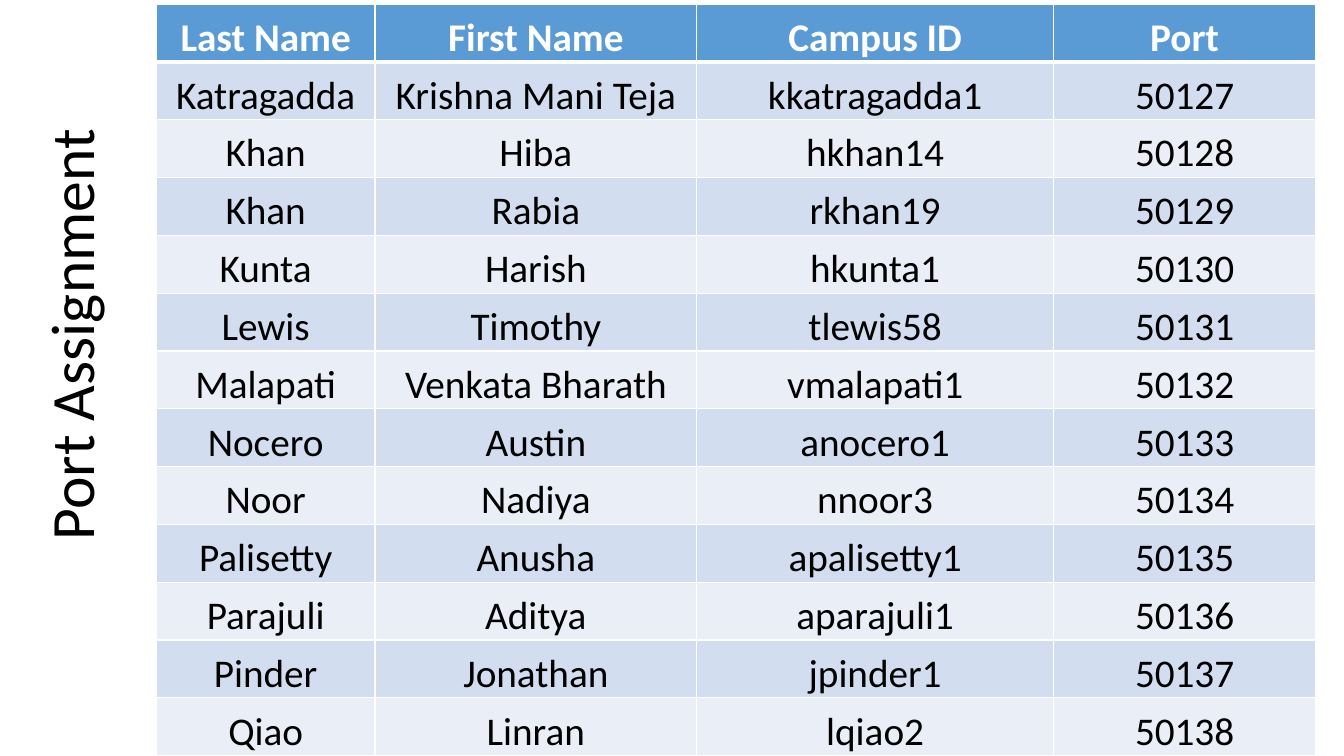
from lxml import etree
from pptx import Presentation
from pptx.dml.color import RGBColor
from pptx.enum.text import MSO_ANCHOR as Anchor, PP_ALIGN as Align
from pptx.oxml.ns import qn
from pptx.util import Inches, Pt

WHITE = RGBColor(0xFF, 0xFF, 0xFF)
BLACK = RGBColor(0, 0, 0)
HEADER_BLUE = RGBColor(0x5B, 0x9B, 0xD5)
BAND_DARK = RGBColor(0xD2, 0xDE, 0xEF)
BAND_LIGHT = RGBColor(0xEA, 0xEF, 0xF7)
FONT = "Calibri"

HEADINGS = ("Last Name", "First Name", "Campus ID", "Port")
FIRST_PORT = 50127
STUDENTS = [
    ("Katragadda", "Krishna Mani Teja", "kkatragadda1"),
    ("Khan", "Hiba", "hkhan14"),
    ("Khan", "Rabia", "rkhan19"),
    ("Kunta", "Harish", "hkunta1"),
    ("Lewis", "Timothy", "tlewis58"),
    ("Malapati", "Venkata Bharath", "vmalapati1"),
    ("Nocero", "Austin", "anocero1"),
    ("Noor", "Nadiya", "nnoor3"),
    ("Palisetty", "Anusha", "apalisetty1"),
    ("Parajuli", "Aditya", "aparajuli1"),
    ("Pinder", "Jonathan", "jpinder1"),
    ("Qiao", "Linran", "lqiao2"),
]
COLUMN_WIDTHS = (2.17, 3.19, 3.54, 2.6)
TABLE_LEFT, TABLE_TOP, TABLE_HEIGHT = 1.55, 0.04, 7.46


def format_text(paragraph, size, color, bold=False):
    for run in paragraph.runs:
        run.font.name = FONT
        run.font.size = Pt(size)
        run.font.color.rgb = color
        run.font.bold = bold


def add_border(cell, side, width):
    line = etree.SubElement(cell._tc.get_or_add_tcPr(), qn(f"a:ln{side}"), w=str(Pt(width)))
    fill = etree.SubElement(line, qn("a:solidFill"))
    etree.SubElement(fill, qn("a:srgbClr"), val=str(WHITE))


presentation = Presentation()
presentation.slide_width = Inches(13.33)
presentation.slide_height = Inches(7.5)
slide = presentation.slides.add_slide(presentation.slide_layouts[5])

# Title, turned to read upwards along the left edge
title = slide.shapes.title
title.left, title.top = Inches(-1.43), Inches(2.87)
title.width, title.height = Inches(4.34), Inches(0.84)
title.rotation = 270
title.text_frame.text = "Port Assignment"
title.text_frame.vertical_anchor = Anchor.MIDDLE
title_paragraph = title.text_frame.paragraphs[0]
title_paragraph.alignment = Align.LEFT
title_paragraph.line_spacing = 0.9
format_text(title_paragraph, 44, BLACK)

# Table grid
rows = [HEADINGS] + [
    (*student, str(FIRST_PORT + index)) for index, student in enumerate(STUDENTS)
]
table = slide.shapes.add_table(
    len(rows), len(HEADINGS), Inches(TABLE_LEFT), Inches(TABLE_TOP),
    Inches(sum(COLUMN_WIDTHS)), Inches(TABLE_HEIGHT),
).table
for column, width in zip(table.columns, COLUMN_WIDTHS):
    column.width = Inches(width)
for row in table.rows:
    row.height = Inches(TABLE_HEIGHT / len(rows))

# Cells: header row, then alternating bands
for row_index, values in enumerate(rows):
    is_header = row_index == 0
    band = BAND_DARK if row_index % 2 else BAND_LIGHT
    for column_index, value in enumerate(values):
        cell = table.cell(row_index, column_index)
        cell.margin_left = cell.margin_right = cell.margin_top = cell.margin_bottom = 0
        cell.vertical_anchor = Anchor.BOTTOM
        add_border(cell, "L", 1)
        add_border(cell, "R", 1)
        add_border(cell, "T", 3 if row_index == 1 else 1)
        add_border(cell, "B", 3 if is_header else 1)
        cell.fill.solid()
        cell.fill.fore_color.rgb = HEADER_BLUE if is_header else band
        cell.text_frame.text = value
        paragraph = cell.text_frame.paragraphs[0]
        paragraph.alignment = Align.CENTER
        format_text(paragraph, 28, WHITE if is_header else BLACK, is_header)

presentation.save("out.pptx")
